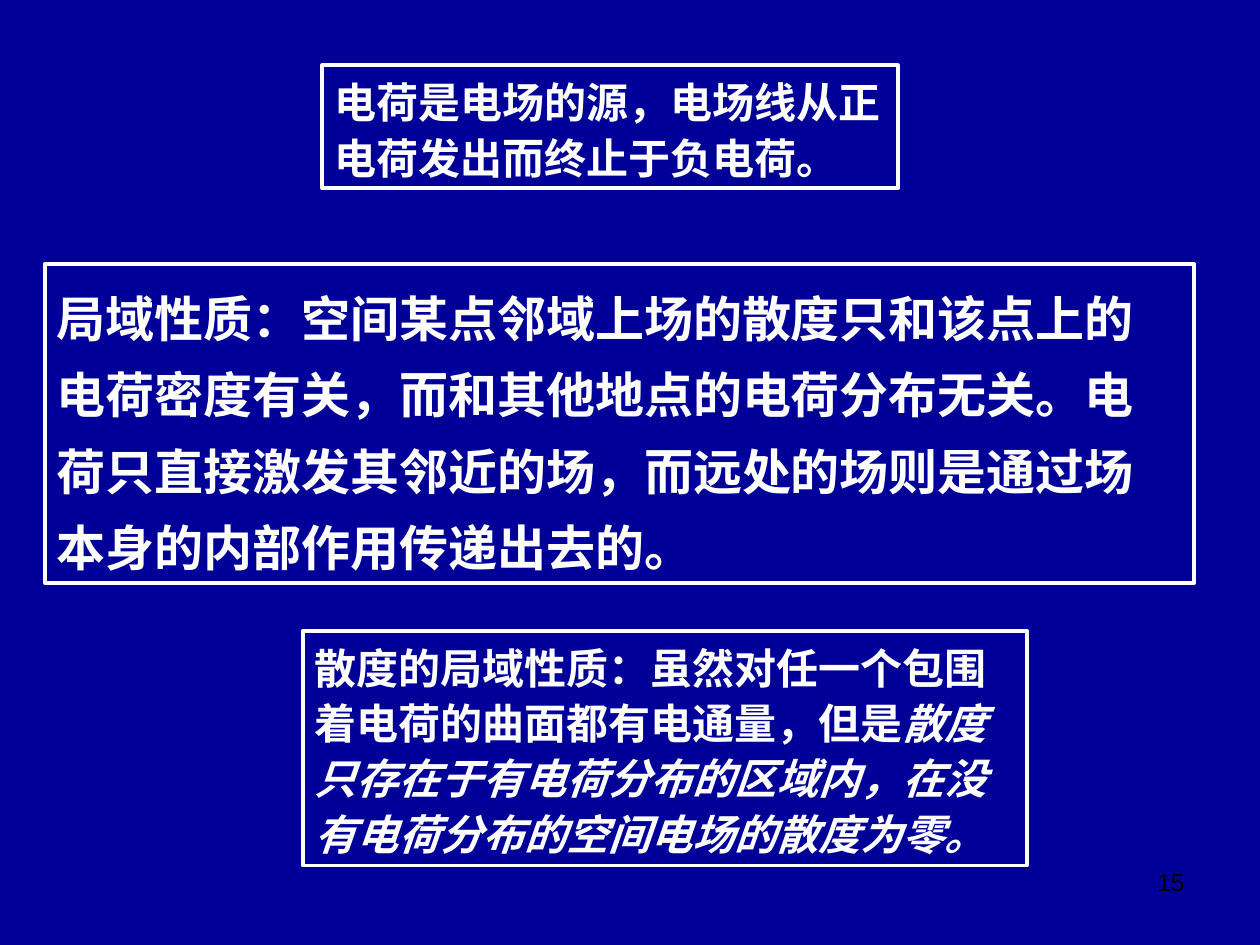
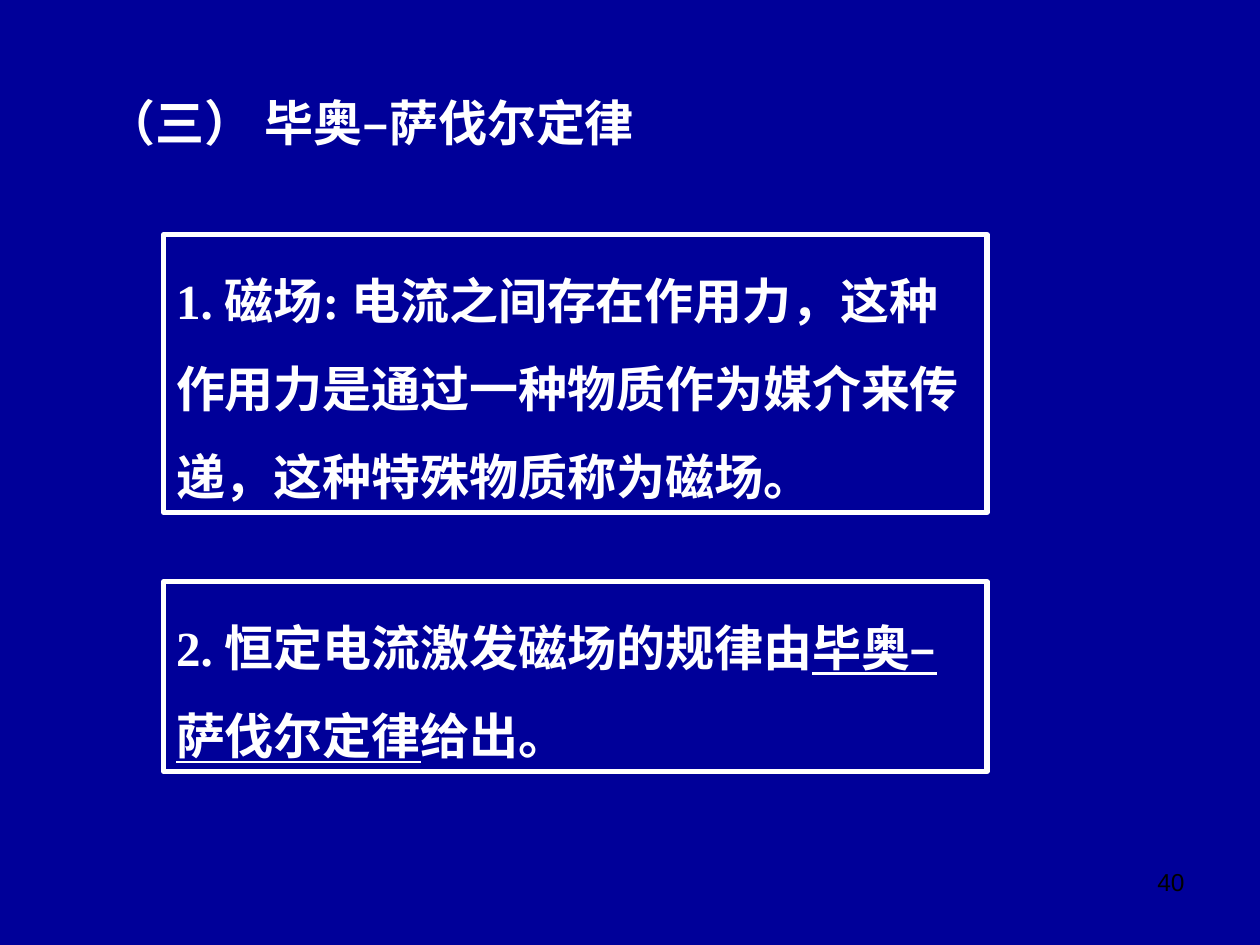
from dataclasses import dataclass

import pptx
import pptx.dml.color
import pptx.enum.shapes
import pptx.enum.text
import pptx.util

Cm = pptx.util.Cm
Pt = pptx.util.Pt
RGB = pptx.dml.color.RGBColor


@dataclass(frozen=True)
class Theme:
    """Colours, fonts and type sizes shared by the slides."""
    background: RGB = RGB(0x00, 0x00, 0x99)
    foreground: RGB = RGB(0xFF, 0xFF, 0xFF)
    number_color: RGB = RGB(0x00, 0x00, 0x00)
    body_font: str = "Times New Roman"
    number_font: str = "Arial"
    large: int = 28
    medium: int = 24
    number: int = 14


THEME = Theme()
NUMBER_BOX = (18.2, 17.35, 5.93, 1.32)


def place(shape, box):
    """Move a shape to a box of left, top, width and height in centimetres."""
    shape.left, shape.top, shape.width, shape.height = map(Cm, box)


def prepare_frame(shape, grow=True):
    """Make the text wrap from the top, and return its first paragraph."""
    frame = shape.text_frame
    frame.word_wrap = True
    frame.vertical_anchor = pptx.enum.text.MSO_ANCHOR.TOP
    if grow:
        frame.auto_size = pptx.enum.text.MSO_AUTO_SIZE.SHAPE_TO_FIT_TEXT
    return frame.paragraphs[0]


def write_runs(paragraph, parts, size):
    """Add bold runs, each given as its text and an optional font emphasis."""
    paragraph.alignment = pptx.enum.text.PP_ALIGN.LEFT
    for text, emphasis in parts:
        run = paragraph.add_run()
        run.text = text
        run.font.name = THEME.body_font
        run.font.size = Pt(size)
        run.font.bold = True
        run.font.color.rgb = THEME.foreground
        if emphasis:
            setattr(run.font, emphasis, True)


def add_statement(slide, box, parts, size, line_spacing, border):
    """Add a white-framed statement."""
    shape = slide.shapes.add_shape(
        pptx.enum.shapes.MSO_SHAPE.RECTANGLE, *map(Cm, box))
    shape.shadow.inherit = False
    shape.fill.background()
    shape.line.color.rgb = THEME.foreground
    shape.line.width = Pt(border)
    paragraph = prepare_frame(shape)
    paragraph.line_spacing = line_spacing
    write_runs(paragraph, parts, size)


def add_title(slide, box, text):
    """Place and format the title placeholder."""
    title = slide.shapes.title
    place(title, box)
    paragraph = prepare_frame(title)
    paragraph.line_spacing = 1.0
    write_runs(paragraph, [(text, None)], THEME.large)


def add_slide_number(slide, number):
    """Add the page number at the lower right."""
    text_box = slide.shapes.add_textbox(*map(Cm, NUMBER_BOX))
    paragraph = prepare_frame(text_box, grow=False)
    paragraph.text = str(number)
    paragraph.alignment = pptx.enum.text.PP_ALIGN.RIGHT
    font = paragraph.runs[0].font
    font.name = THEME.number_font
    font.size = Pt(THEME.number)
    font.color.rgb = THEME.number_color


def build_divergence_slide(presentation):
    """Build the slide on the sources and local nature of the electric field."""
    slide = presentation.slides.add_slide(
        presentation.slide_layouts.get_by_name("Blank"))
    border = 2.25
    add_statement(slide, (6.5, 1.32, 11.6, 2.48), [
        ("电荷是电场的源，电场线从正电荷发出而终止于负电荷。", None),
    ], THEME.medium, 1.1, border)
    add_statement(slide, (0.9, 5.33, 23.18, 6.42), [
        ("局域性质：空间某点邻域上场的散度只和该点上的电荷密度有关，"
         "而和其他地点的电荷分布无关。电荷只直接激发其邻近的场，"
         "而远处的场则是通过场本身的内部作用传递出去的。", None),
    ], THEME.large, 1.3, border)
    add_statement(slide, (6.1, 12.72, 14.6, 4.73), [
        ("散度的局域性质：虽然对任一个包围着电荷的曲面都有电通量，但是", None),
        ("散度只存在于有电荷分布的区域内，在没有电荷分布的空间电场的散度为零。",
         "italic"),
    ], THEME.medium, 1.1, border)
    add_slide_number(slide, 15)


def build_law_slide(presentation):
    """Build the titled slide on the magnetic field and its law."""
    slide = presentation.slides.add_slide(
        presentation.slide_layouts.get_by_name("Title Only"))
    add_title(slide, (1.9, 1.73, 13, 1.45), "（三） 毕奥–萨伐尔定律")
    left, width = 3.3, 16.6
    statements = [
        (4.73, 5.6, [
            ("1. 磁场: 电流之间存在作用力，这种作用力是通过一种物质作为媒介来传递，"
             "这种特殊物质称为磁场。", None),
        ]),
        (11.73, 3.82, [
            ("2. 恒定电流激发磁场的规律由", None),
            ("毕奥–萨伐尔定律", "underline"),
            ("给出。", None),
        ]),
    ]
    for top, height, parts in statements:
        add_statement(slide, (left, top, width, height), parts,
                      THEME.large, 1.5, 3)
    add_slide_number(slide, 40)


def main():
    """Build and save the presentation."""
    presentation = pptx.Presentation()
    presentation.slide_width = Cm(25.4)
    presentation.slide_height = Cm(19.05)
    background = presentation.slide_master.background.fill
    background.solid()
    background.fore_color.rgb = THEME.background
    build_divergence_slide(presentation)
    build_law_slide(presentation)
    presentation.save("out.pptx")


if __name__ == "__main__":
    main()
